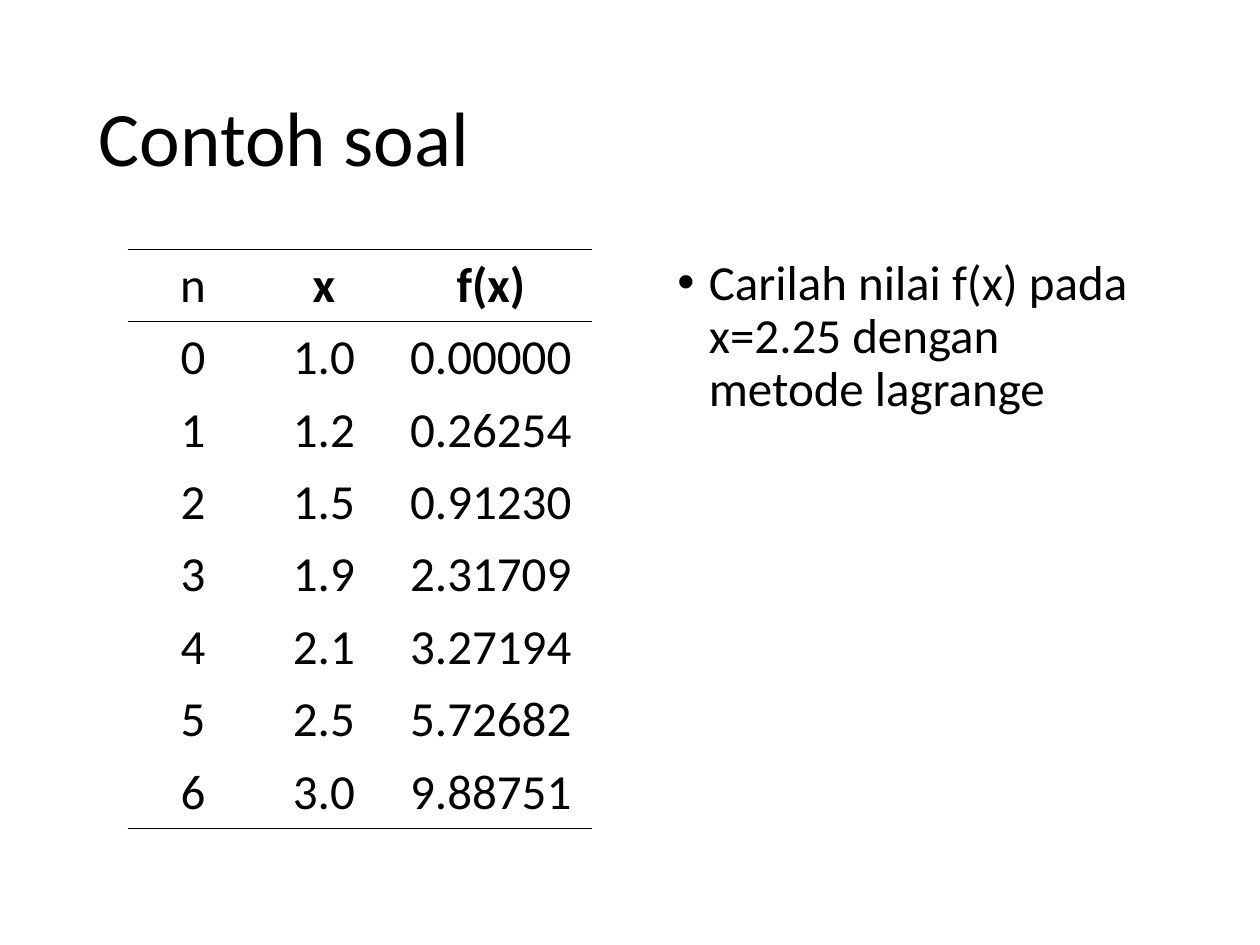
from lxml.etree import SubElement
from pptx import Presentation
from pptx.dml.color import RGBColor
from pptx.enum.text import MSO_ANCHOR, PP_ALIGN
from pptx.oxml.ns import qn
from pptx.util import Pt

INK = "000000"
HEADER = ("n", "x", "f(x)")
SAMPLES = [
    ("0", "1.0", "0.00000"),
    ("1", "1.2", "0.26254"),
    ("2", "1.5", "0.91230"),
    ("3", "1.9", "2.31709"),
    ("4", "2.1", "3.27194"),
    ("5", "2.5", "5.72682"),
    ("6", "3.0", "9.88751"),
]


def color(hex_code):
    return RGBColor.from_string(hex_code)


class SlideWriter:
    def __init__(self, slide, font="Calibri", ink=INK, rule_width=0.45):
        self.slide = slide
        self.font = font
        self.ink = ink
        self.rule_width = rule_width

    def format_runs(self, paragraph, size, bold=False):
        for run in paragraph.runs:
            run.font.name = self.font
            run.font.size = Pt(size)
            run.font.bold = bold
            run.font.color.rgb = color(self.ink)

    def text(self, wording, left, top, width, height, size, anchor=MSO_ANCHOR.TOP):
        box = self.slide.shapes.add_textbox(Pt(left), Pt(top), Pt(width), Pt(height))
        frame = box.text_frame
        frame.word_wrap = True
        frame.vertical_anchor = anchor
        frame.text = wording
        paragraph = frame.paragraphs[0]
        paragraph.line_spacing = 0.9
        self.format_runs(paragraph, size)
        return paragraph

    def bullet(self, wording, left, top, width, height, size, indent=18):
        paragraph = self.text(wording, left, top, width, height, size)
        paragraph.space_before = Pt(10)
        properties = paragraph._p.get_or_add_pPr()
        properties.set("marL", str(Pt(indent)))
        properties.set("indent", str(-Pt(indent)))
        bullet_color = SubElement(properties, qn("a:buClr"))
        SubElement(bullet_color, qn("a:srgbClr"), val=self.ink)
        SubElement(properties, qn("a:buFont"), typeface="Arial")
        SubElement(properties, qn("a:buChar"), char="•")

    def cell_borders(self, cell, ruled_sides):
        """Rule the given sides (T, B) and clear the others."""
        properties = cell._tc.get_or_add_tcPr()
        for side in "LRTB":
            border = SubElement(properties, qn(f"a:ln{side}"), w=str(Pt(self.rule_width)))
            if side in ruled_sides:
                fill = SubElement(border, qn("a:solidFill"))
                SubElement(fill, qn("a:srgbClr"), val=self.ink)
            else:
                SubElement(border, qn("a:noFill"))

    def table(self, rows, left, top, column_widths, row_height, size):
        """Centred table with rules above and below the header and at the foot."""
        table = self.slide.shapes.add_table(
            len(rows), len(column_widths), Pt(left), Pt(top),
            Pt(sum(column_widths)), Pt(row_height * len(rows))).table
        table.first_row = table.horz_banding = False
        for column, width in zip(table.columns, column_widths):
            column.width = Pt(width)
        ruled_sides = {0: "TB", 1: "T", len(rows) - 1: "B"}
        for r, values in enumerate(rows):
            table.rows[r].height = Pt(row_height)
            for c, value in enumerate(values):
                cell = table.cell(r, c)
                self.cell_borders(cell, ruled_sides.get(r, ""))
                cell.fill.background()
                cell.text_frame.text = value
                paragraph = cell.text_frame.paragraphs[0]
                paragraph.alignment = PP_ALIGN.CENTER
                self.format_runs(paragraph, size, bold=r == 0 and c > 0)


def main():
    presentation = Presentation()
    presentation.slide_width, presentation.slide_height = Pt(720), Pt(540)
    writer = SlideWriter(presentation.slides.add_slide(presentation.slide_layouts[6]))
    writer.text("Contoh soal", 49.5, 28.8, 621, 104.4, 44, MSO_ANCHOR.MIDDLE)
    writer.table([HEADER, *SAMPLES], 72.9, 142.4, (74.8, 74.8, 116), 41.4, 28)
    writer.bullet("Carilah nilai f(x) pada x=2.25 dengan metode lagrange",
                  380, 144, 290, 305, 28)
    presentation.save("out.pptx")


if __name__ == "__main__":
    main()
